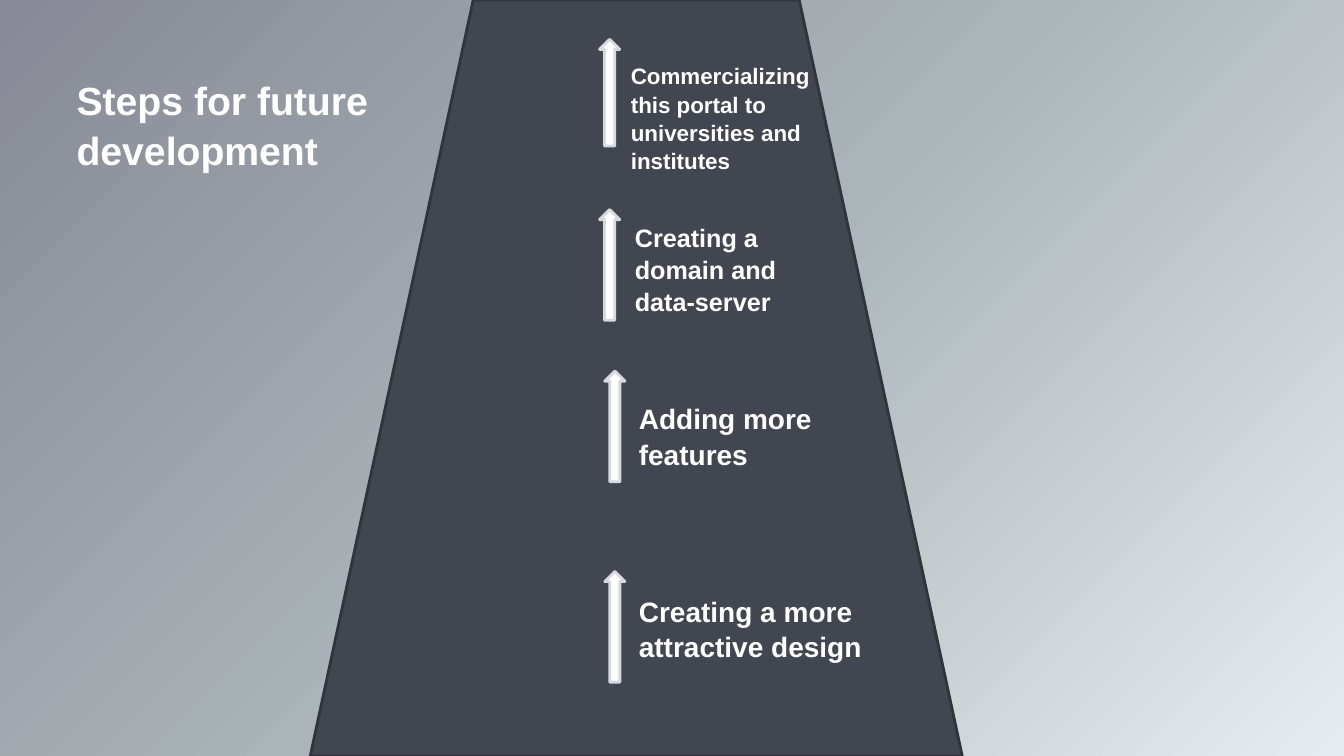
from copy import deepcopy

from pptx import Presentation
from pptx.dml.color import RGBColor
from pptx.enum.shapes import MSO_SHAPE as Preset
from pptx.enum.text import MSO_AUTO_SIZE as AutoSize
from pptx.oxml.ns import qn
from pptx.util import Cm, Pt

WHITE = RGBColor(0xFF, 0xFF, 0xFF)
ASPHALT = RGBColor(0x42, 0x46, 0x50)
ROAD_EDGE = RGBColor(0x31, 0x34, 0x3B)
ARROW_EDGE = RGBColor(0xD6, 0xDA, 0xE0)
BACKGROUND_STOPS = [
    (0, RGBColor(0xE7, 0xEC, 0xF0)),
    (0.5, RGBColor(0xAB, 0xB4, 0xB8)),
    (1, RGBColor(0x87, 0x8A, 0x96)),
]


def add_filled_shape(preset, left, top, width, height, fill, edge):
    shape = slide.shapes.add_shape(preset, Cm(left), Cm(top), Cm(width), Cm(height))
    shape.shadow.inherit = False
    shape.fill.solid()
    shape.fill.fore_color.rgb = fill
    shape.line.color.rgb = edge
    shape.line.width = Pt(2)


def add_label(text, left, top, width, height, size):
    box = slide.shapes.add_textbox(Cm(left), Cm(top), Cm(width), Cm(height))
    frame = box.text_frame
    frame.word_wrap = True
    frame.auto_size = AutoSize.SHAPE_TO_FIT_TEXT
    frame.text = text
    paragraph = frame.paragraphs[0]
    paragraph.line_spacing = 1.05
    font = paragraph.runs[0].font
    font.name = "Arial"
    font.size = Pt(size)
    font.bold = True
    font.color.rgb = WHITE


presentation = Presentation()
presentation.slide_width = Cm(33.87)
presentation.slide_height = Cm(19.05)
slide = presentation.slides.add_slide(presentation.slide_layouts[6])

# Diagonal background, light at the bottom right
background = slide.background.fill
background.gradient()
background.gradient_angle = 135
stop_list = slide.element.find(".//" + qn("a:gsLst"))
stop_list.append(deepcopy(stop_list[-1]))
for stop, (position, color) in zip(background.gradient_stops, BACKGROUND_STOPS):
    stop.position = position
    stop.color.rgb = color

# Road
add_filled_shape(Preset.TRAPEZOID, 7.82, 0, 16.43, 19.05, ASPHALT, ROAD_EDGE)

# Lane arrows: left, top, height
for left, top, height in [
    (15.11, 0.99, 2.69),
    (15.11, 5.28, 2.79),
    (15.24, 9.35, 2.79),
    (15.24, 14.4, 2.79),
]:
    add_filled_shape(Preset.UP_ARROW, left, top, 0.51, height, WHITE, ARROW_EDGE)

# Steps from the near end of the road to the far end, then the title
for label in [
    ("Creating a more attractive design", 15.85, 14.81, 6.99, 1.96, 20),
    ("Adding more features", 15.85, 9.96, 5.79, 1.96, 20),
    ("Creating a domain and data-server", 15.75, 5.44, 4.47, 2.57, 18),
    ("Commercializing this portal to universities and institutes",
     15.65, 1.42, 5.79, 3, 16),
    ("Steps for future development", 1.68, 1.75, 9.14, 2.64, 28),
]:
    add_label(*label)

presentation.save("out.pptx")
